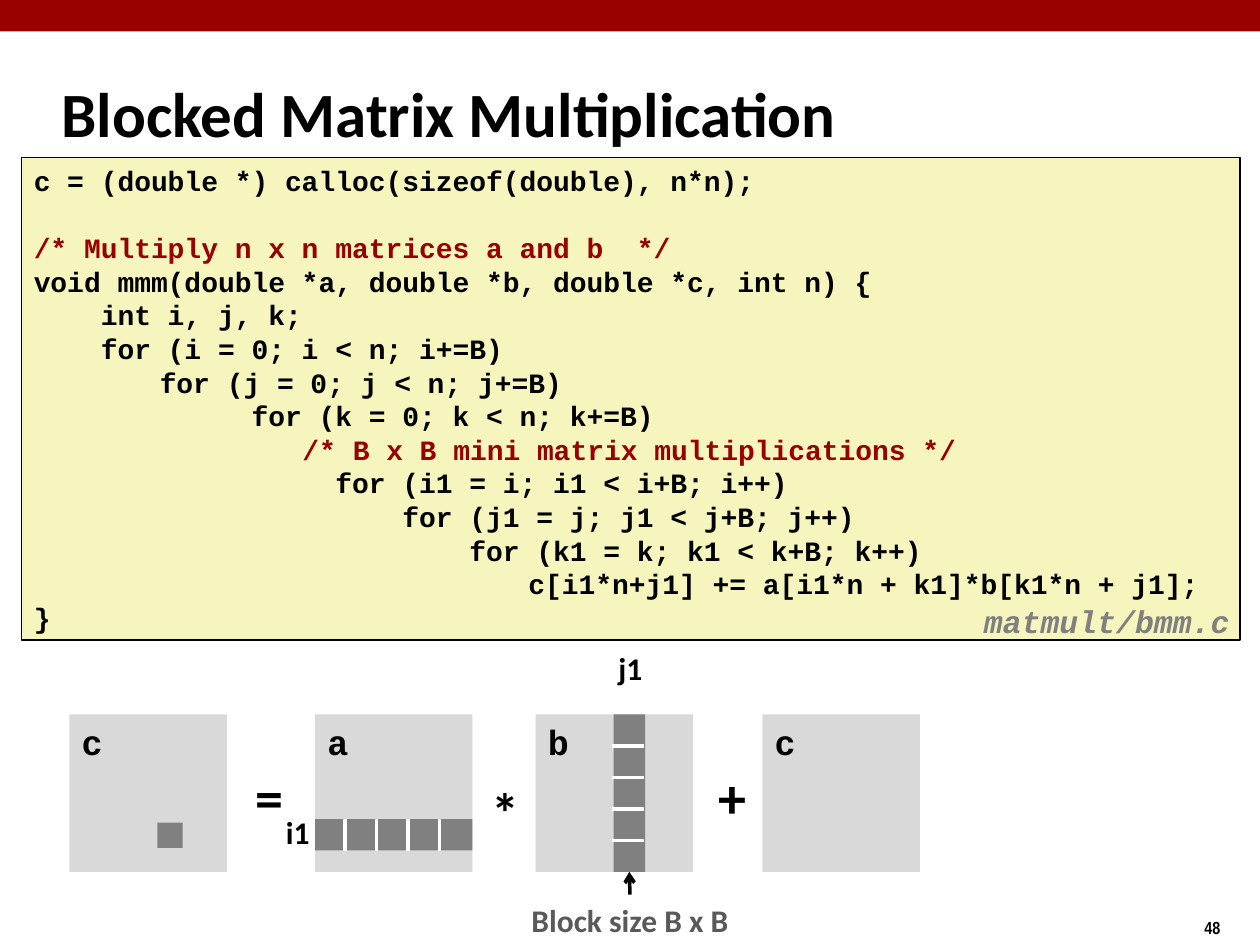
from lxml.etree import SubElement
from pptx import Presentation
from pptx.dml.color import RGBColor
from pptx.enum.shapes import MSO_CONNECTOR, MSO_SHAPE
from pptx.enum.text import MSO_ANCHOR, MSO_AUTO_SIZE, PP_ALIGN
from pptx.oxml.ns import qn
from pptx.util import Inches, Pt

COLORS = {
    "red": "990000", "code": "F6F5BD", "matrix": "D9D9D9", "block": "808080",
    "caption": "595959", "black": "000000", "white": "FFFFFF",
}
MONO, SANS, NARROW = "Courier New", "Calibri", "Arial Narrow"
SIDE, BLOCK = 1.25, 0.25

CODE = """\
c = (double *) calloc(sizeof(double), n*n);

/* Multiply n x n matrices a and b  */
void mmm(double *a, double *b, double *c, int n) {
    int i, j, k;
    for (i = 0; i < n; i+=B)
\tfor (j = 0; j < n; j+=B)
             for (k = 0; k < n; k+=B)
\t\t /* B x B mini matrix multiplications */
                  for (i1 = i; i1 < i+B; i++)
                      for (j1 = j; j1 < j+B; j++)
                          for (k1 = k; k1 < k+B; k++)
\t                      c[i1*n+j1] += a[i1*n + k1]*b[k1*n + j1];
}"""


def color(name):
    return RGBColor.from_string(COLORS[name])


def style(paragraph, size, font=SANS, ink="black", italic=False):
    for run in paragraph.runs:
        run.font.name, run.font.size = font, Pt(size)
        run.font.bold, run.font.italic = True, italic
        run.font.color.rgb = color(ink)


def add_tab_stops(paragraph, *stops):
    tabs = SubElement(paragraph._p.get_or_add_pPr(), qn("a:tabLst"))
    for stop in stops:
        SubElement(tabs, qn("a:tab"), pos=str(Inches(stop)), algn="l")


def add_rectangle(slide, left, top, width, height, fill, line=None):
    shape = slide.shapes.add_shape(MSO_SHAPE.RECTANGLE, Inches(left), Inches(top),
                                   Inches(width), Inches(height))
    shape.shadow.inherit = False
    shape.fill.solid()
    shape.fill.fore_color.rgb = color(fill)
    if line:
        shape.line.color.rgb = color(line)
        shape.line.width = Pt(1)
    else:
        shape.line.fill.background()
    return shape


def add_text(slide, left, top, width, height, text, size, wrap=False, **look):
    box = slide.shapes.add_textbox(Inches(left), Inches(top), Inches(width), Inches(height))
    frame = box.text_frame
    frame.word_wrap = wrap
    frame.auto_size = MSO_AUTO_SIZE.NONE if wrap else MSO_AUTO_SIZE.SHAPE_TO_FIT_TEXT
    frame.text = text
    style(frame.paragraphs[0], size, **look)
    return box


def add_line(slide, x1, y1, x2, y2, ink):
    line = slide.shapes.add_connector(MSO_CONNECTOR.STRAIGHT, Inches(x1), Inches(y1),
                                      Inches(x2), Inches(y2))
    line.line.color.rgb = color(ink)
    line.line.width = Pt(2)
    SubElement(line._element.spPr, qn("a:effectLst"))
    return line


def add_frame(slide):
    add_rectangle(slide, 0, 0, 10, 0.25, "red")
    add_text(slide, 9.46, 7.23, 0.75, 0.27, "48", 10, font=NARROW)
    title = add_text(slide, 0.39, 0.48, 8.3, 0.83, "Blocked Matrix Multiplication", 36, wrap=True)
    title.text_frame.vertical_anchor = MSO_ANCHOR.MIDDLE


def add_code(slide, left, top, width, height):
    shape = add_rectangle(slide, left, top, width, height, "code", "black")
    frame = shape.text_frame
    frame.word_wrap = True
    frame.vertical_anchor = MSO_ANCHOR.TOP
    frame.text = CODE
    for paragraph in frame.paragraphs:
        paragraph.alignment = PP_ALIGN.LEFT
        paragraph.line_spacing = Pt(19.2)
        add_tab_stops(paragraph, 1, 2)
        paragraph.font.size = Pt(16)
        style(paragraph, 16, MONO, "red" if "/*" in paragraph.text else "black")


def add_matrix(slide, left, top, name):
    shape = add_rectangle(slide, left, top, SIDE, SIDE, "matrix")
    shape.text_frame.vertical_anchor = MSO_ANCHOR.TOP
    shape.text_frame.text = name
    paragraph = shape.text_frame.paragraphs[0]
    paragraph.alignment = PP_ALIGN.LEFT
    style(paragraph, 20, MONO)


def add_block_row(slide, left, top):
    add_rectangle(slide, left, top, SIDE, BLOCK, "block")
    for step in range(1, 5):
        x = left + step * BLOCK
        add_line(slide, x - 0.01, top, x - 0.01, top + BLOCK, "white")


def add_block_column(slide, left, top):
    column = add_rectangle(slide, left, top, BLOCK, SIDE, "block")
    for step in range(1, 5):
        y = top + step * BLOCK
        add_line(slide, left - 0.01, y, left + BLOCK - 0.01, y, "white")
    return column


def add_diagram(slide, left, top):
    # Matrices and the operators between them
    for offset, name in ((0, "c"), (1.95, "a"), (3.7, "b"), (5.5, "c")):
        add_matrix(slide, left + offset, top, name)
    for offset, drop, sign in ((1.38, 0.33, "="), (3.25, 0.45, "*"), (5.05, 0.33, "+")):
        add_text(slide, left + offset, top + drop, 0.42, 0.63, sign, 32)

    # Highlighted blocks
    add_rectangle(slide, left + 0.7, top + 0.86, 0.2, 0.2, "block")
    add_block_row(slide, left + 1.95, top + 0.83)
    column = add_block_column(slide, left + 4.32, top)

    # Index labels and block size caption
    add_text(slide, left + 1.62, top + 0.73, 0.39, 0.4, "i1", 18)
    add_text(slide, left + 4.26, top - 0.57, 0.39, 0.4, "j1", 18)
    caption = add_text(slide, left + 3.55, top + 1.43, 1.8, 0.4, "Block size B x B", 18,
                       ink="caption")
    caption.text_frame.paragraphs[0].alignment = PP_ALIGN.CENTER
    caption.fill.solid()
    caption.fill.fore_color.rgb = color("white")
    arrow = add_line(slide, left + 4.45, top + 1.43, left + 4.45, top + SIDE, "black")
    arrow.begin_connect(caption, 0)
    arrow.end_connect(column, 2)
    SubElement(arrow.line._get_or_add_ln(), qn("a:tailEnd"), type="arrow")


def main():
    presentation = Presentation()
    presentation.slide_width, presentation.slide_height = Inches(10), Inches(7.5)
    slide = presentation.slides.add_slide(presentation.slide_layouts[6])
    add_frame(slide)
    add_code(slide, 0.17, 1.25, 9.67, 3.83)
    add_diagram(slide, 0.55, 5.67)
    file_name = add_text(slide, 7.71, 4.75, 2.15, 0.38, "matmult/bmm.c", 18,
                         font=MONO, ink="block", italic=True)
    file_name.text_frame.paragraphs[0].line_spacing = 0.94
    presentation.save("out.pptx")


if __name__ == "__main__":
    main()
